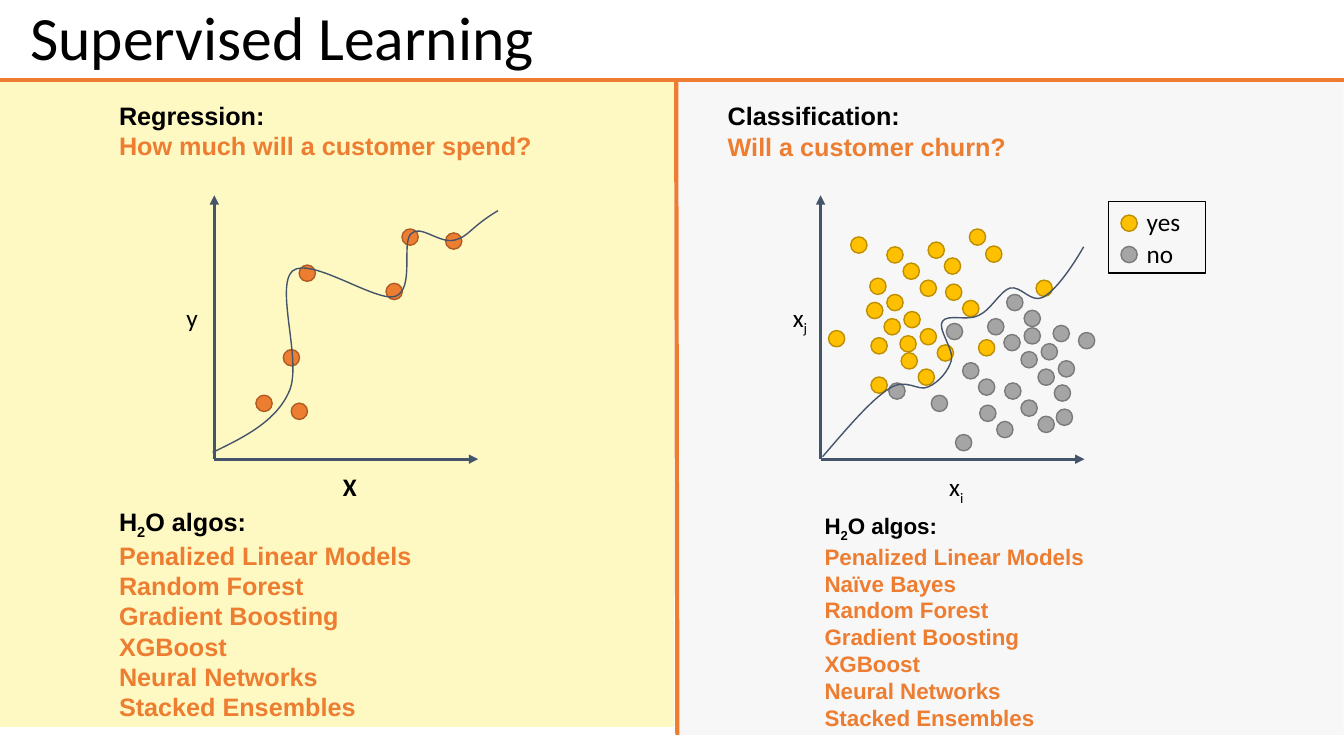
import pptx
import pptx.util
import pptx.dml.color
import pptx.enum.shapes
import pptx.enum.text
import pptx.oxml.ns
from lxml import etree
from pptx.util import Cm

BLACK, ORANGE, SLATE = "000000", "ED7D31", "44546A"
YES, NO, SPEND = ("FFC000", "BD8E00"), ("A5A5A5", "7A7A7A"), (ORANGE, "AF5C24")
DOT = 0.41
AXIS_Y, AXIS_LENGTH = 11.57, 6.65

TITLE = "Supervised Learning"
PANELS = [  # left, top, width, height, colour, opacity in percent
    (17.07, 2.06, 16.79, 16.46, "D0CECE", 16),
    (0, 2.06, 16.99, 16.26, "FDE831", 29),
]
RULES = [(17.04, 2.01, 17.07, 18.52), (0, 2.01, 33.87, 2.01)]

# Left, top of each dot
SPEND_DOTS = [
    (11.23, 5.87), (6.45, 9.96), (7.34, 10.16), (7.14, 8.81), (7.54, 6.68),
    (9.73, 7.14), (10.13, 5.77),
]
YES_DOTS = [
    (22.35, 6.22), (21.92, 7.01), (22.35, 7.42), (23.39, 6.1), (21.84, 7.62),
    (21.95, 8.51), (22.76, 6.63), (21.44, 5.97), (22.78, 7.85), (23.19, 7.06),
    (23.83, 7.16), (23.19, 8.28), (24.43, 5.77), (22.28, 8.03), (22.71, 8.89),
    (20.88, 8.33), (23.8, 6.5), (21.95, 9.5), (24.66, 8.56), (26.11, 7.06),
    (24.26, 7.57), (23.62, 8.69), (24.84, 6.2), (22.68, 8.46), (23.14, 9.3),
]
NO_DOTS = [
    (26.16, 10.49), (26.57, 9.7), (26.16, 9.3), (25.12, 10.62), (26.67, 9.09),
    (26.54, 8.2), (25.73, 10.08), (26.62, 10.31), (25.73, 8.86), (25.32, 9.65),
    (24.66, 9.55), (25.3, 8.43), (24.08, 10.95), (26.24, 8.66), (25.81, 7.82),
    (27.18, 8.38), (24.69, 10.21), (23.85, 8.15), (22.4, 9.65), (24.26, 9.14),
    (24.89, 8.03), (23.47, 9.96), (25.81, 8.26), (25.37, 7.42),
]
# Start point, then two control points and an end point per segment
SPEND_CURVE = [
    (5.36, 11.4),
    (6.15, 11.02), (6.96, 10.62), (7.29, 9.86),
    (7.62, 9.12), (6.93, 7.24), (7.37, 6.83),
    (7.82, 6.45), (9.47, 7.62), (9.96, 7.47),
    (10.46, 7.29), (10.11, 6.12), (10.36, 5.89),
    (10.59, 5.64), (11.07, 6.15), (11.46, 6.05),
    (11.81, 5.97), (11.86, 5.72), (12.55, 5.31),
]
CHURN_CURVE = [
    (20.73, 11.51),
    (21.34, 10.8), (21.95, 10.08), (22.4, 9.8),
    (22.83, 9.5), (23.14, 9.88), (23.39, 9.75),
    (23.67, 9.63), (23.9, 9.35), (23.98, 9.07),
    (24.03, 8.79), (23.62, 8.28), (23.75, 8.1),
    (23.88, 7.9), (24.38, 8.1), (24.66, 7.95),
    (24.97, 7.82), (25.2, 7.34), (25.45, 7.26),
    (25.73, 7.19), (25.98, 7.65), (26.29, 7.49),
    (26.59, 7.32), (26.97, 6.81), (27.31, 6.22),
]
PLOTS = [  # axis left, dot groups, curve, x label, y label, bold x label
    (5.4, [(SPEND, SPEND_DOTS)], SPEND_CURVE, ("X", ""), ("y", ""), True),
    (20.68, [(YES, YES_DOTS), (NO, NO_DOTS)], CHURN_CURVE, ("x", "i"), ("x", "j"), False),
]
LEGEND_BOX = (27.94, 5.08, 2.44, 1.8)
LEGEND = [("yes", YES, 5.08), ("no", NO, 5.87)]

H2O = ("H", "2", "O algos:")  # the second part is a subscript
TEXTS = [  # box, size, heading, orange lines
    ((2.87, 2.39, 11.51, 1.8), 18, ("Regression:",), ["How much will a customer spend?"]),
    ((18.21, 2.41, 14.02, 1.8), 18, ("Classification:",), ["Will a customer churn?"]),
    ((2.87, 12.62, 11.51, 5.64), 18, H2O,
     ["Penalized Linear Models", "Random Forest", "Gradient Boosting", "XGBoost",
      "Neural Networks", "Stacked Ensembles"]),
    ((20.65, 12.78, 11.51, 5.74), 16, H2O,
     ["Penalized Linear Models", "Naïve Bayes", "Random Forest", "Gradient Boosting",
      "XGBoost", "Neural Networks", "Stacked Ensembles"]),
]

qn = pptx.oxml.ns.qn
SHAPE = pptx.enum.shapes.MSO_SHAPE


def rgb(color):
    return pptx.dml.color.RGBColor.from_string(color)


def set_line(sp, color, width):
    sp.line.color.rgb = rgb(color)
    sp.line.width = pptx.util.Pt(width)


def add_preset(s, kind, box, fill=None, outline=None):
    sp = s.shapes.add_shape(kind, *map(Cm, box))
    sp.shadow.inherit = False
    if fill:
        sp.fill.solid()
        sp.fill.fore_color.rgb = rgb(fill)
    else:
        sp.fill.background()
    if outline:
        set_line(sp, outline, 1)
    else:
        sp.line.fill.background()
    return sp


def add_dot(s, colors, left, top):
    add_preset(s, SHAPE.OVAL, (left, top, DOT, DOT), *colors)


def add_line(s, ends, color, width, arrow=False):
    line = s.shapes.add_connector(pptx.enum.shapes.MSO_CONNECTOR.STRAIGHT, *map(Cm, ends))
    set_line(line, color, width)
    if arrow:
        etree.SubElement(line.line._get_or_add_ln(), qn("a:tailEnd"), type="triangle")
    etree.SubElement(line._element.spPr, qn("a:effectLst"))


def add_curve(s, points):
    """Draw a chain of cubic curves by joining each three line points into one."""
    start, *rest = [(Cm(x), Cm(y)) for x, y in points]
    builder = s.shapes.build_freeform(*start)
    builder.add_line_segments(rest, close=False)
    sp = builder.convert_to_shape()
    sp.shadow.inherit = False
    sp.fill.background()
    set_line(sp, SLATE, 1)
    steps = list(sp._element.iter(qn("a:lnTo")))
    for first, second, third in zip(steps[::3], steps[1::3], steps[2::3]):
        first.tag = qn("a:cubicBezTo")
        for step in (second, third):
            first.append(step[0])
            step.getparent().remove(step)


def add_text_box(s, box, inset=None):
    tf = s.shapes.add_textbox(*map(Cm, box)).text_frame
    tf.word_wrap = True
    if inset:
        tf.margin_left = tf.margin_right = tf.margin_top = tf.margin_bottom = Cm(inset)
    return tf


def add_run(p, text, size, font="Calibri", color=BLACK, bold=False, subscript=False):
    r = p.add_run()
    r.text = text
    r.font.size = pptx.util.Pt(size)
    r.font.name = font
    r.font.bold = bold
    r.font.color.rgb = rgb(color)
    if subscript:
        r.font._element.set("baseline", "-25000")


def add_label(s, left, top, parts, bold=False):
    p = add_text_box(s, (left, top, 2.13, 1.02)).paragraphs[0]
    for i, part in enumerate(parts):
        if part:
            add_run(p, part, 18, bold=bold, subscript=i == 1)


def main():
    prs = pptx.Presentation()
    prs.slide_width, prs.slide_height = Cm(33.87), Cm(19.05)
    s = prs.slides.add_slide(prs.slide_layouts[6])

    for *box, color, opacity in PANELS:
        sp = add_preset(s, SHAPE.RECTANGLE, box, color)
        srgb = next(sp._element.spPr.iter(qn("a:srgbClr")))
        etree.SubElement(srgb, qn("a:alpha"), val=str(opacity * 1000))
    for ends in RULES:
        add_line(s, ends, ORANGE, 3)

    for left, groups, curve, x_label, y_label, bold in PLOTS:
        for colors, dots in groups:
            for dot in dots:
                add_dot(s, colors, *dot)
        add_line(s, (left, AXIS_Y, left + AXIS_LENGTH, AXIS_Y), SLATE, 2.25, arrow=True)
        add_line(s, (left, AXIS_Y, left, AXIS_Y - AXIS_LENGTH), SLATE, 2.25, arrow=True)
        add_label(s, left + 2.99, 11.76, x_label, bold)
        add_label(s, left - 0.95, 7.49, y_label)
        add_curve(s, curve)

    for name, colors, top in LEGEND:
        add_dot(s, colors, 28.25, top + 0.34)
        add_label(s, 28.65, top, (name,))
    add_preset(s, SHAPE.RECTANGLE, LEGEND_BOX, outline=BLACK)

    for box, size, heading, lines in TEXTS:
        tf = add_text_box(s, box, 0.13)
        for i, part in enumerate(heading):
            add_run(tf.paragraphs[0], part, size, "Arial", bold=True, subscript=i == 1)
        for line in lines:
            add_run(tf.add_paragraph(), line, size, "Arial", ORANGE, bold=True)

    tf = add_text_box(s, (0.51, -0.36, 29.21, 2.74))
    tf.vertical_anchor = pptx.enum.text.MSO_ANCHOR.MIDDLE
    tf.paragraphs[0].line_spacing = 0.9
    add_run(tf.paragraphs[0], TITLE, 44)

    prs.save("out.pptx")


if __name__ == "__main__":
    main()
